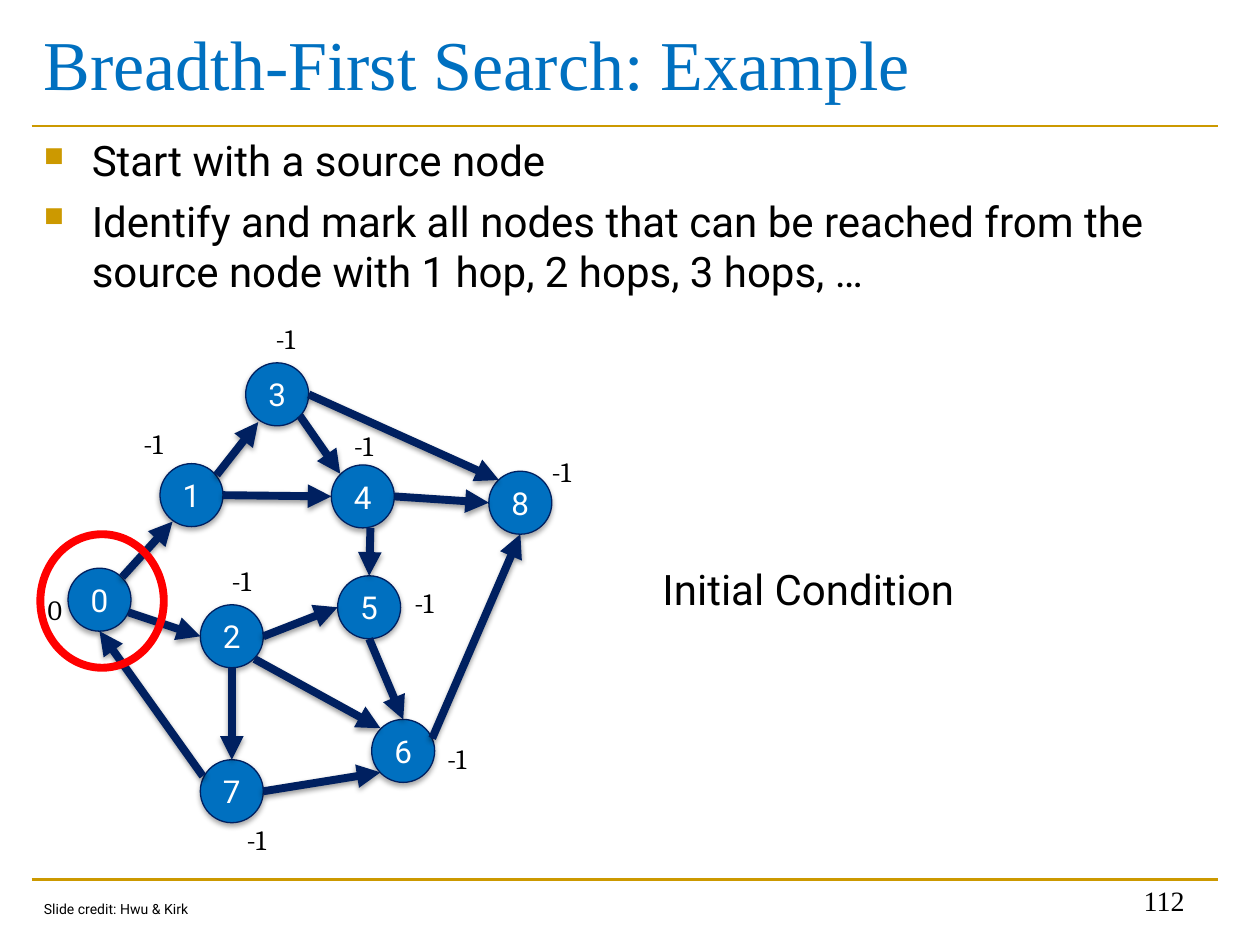
from pptx import Presentation
from pptx.dml.color import RGBColor
from pptx.enum.shapes import MSO_CONNECTOR, MSO_SHAPE
from pptx.enum.text import MSO_ANCHOR, MSO_AUTO_SIZE, PP_ALIGN
from pptx.oxml import parse_xml
from pptx.oxml.ns import nsdecls
from pptx.util import Inches, Pt

STRAIGHT = MSO_CONNECTOR.STRAIGHT
OVAL = MSO_SHAPE.OVAL
TOP, MIDDLE, BOTTOM = MSO_ANCHOR.TOP, MSO_ANCHOR.MIDDLE, MSO_ANCHOR.BOTTOM
FIT_SHAPE = MSO_AUTO_SIZE.SHAPE_TO_FIT_TEXT
LEFT, CENTER, RIGHT = PP_ALIGN.LEFT, PP_ALIGN.CENTER, PP_ALIGN.RIGHT

BLUE, NAVY, GOLD = "0070C0", "002060", "CC9900"
BLACK, WHITE, RED = "000000", "FFFFFF", "FF0000"
BODY_FONT, LABEL_FONT, TITLE_FONT = "Roboto", "Cambria", "Times New Roman"
NODE_SIZE = 0.5

NODES = [
    (0.54, 4.51), (1.27, 3.68), (1.59, 4.8), (1.95, 2.88), (2.63, 3.69),
    (2.68, 4.57), (2.95, 5.71), (1.59, 6.03), (3.88, 3.74),
]
EDGES = [
    ((0.97, 4.58), (1.37, 4.14)),
    ((1.02, 4.86), (1.59, 5.05)),
    ((1.72, 3.77), (2.05, 3.35)),
    ((1.77, 3.93), (2.63, 3.94)),
    ((2.09, 5.05), (2.68, 4.82)),
    ((2.45, 3.13), (3.96, 3.81)),
    ((2.38, 3.3), (2.7, 3.76)),
    ((3.13, 3.94), (3.88, 3.99)),
    ((2.94, 4.19), (2.93, 4.57)),
    ((2.02, 5.23), (3.02, 5.78)),
    ((1.84, 5.3), (1.84, 6.03)),
    ((2.09, 6.28), (3.02, 6.13)),
    ((2.93, 5.07), (3.2, 5.71)),
    ((1.61, 6.16), (0.79, 5.01)),
    ((3.43, 5.86), (4.13, 4.24)),
]
DISTANCES = [
    ("0", 0.28, 4.65), ("-1", 1.04, 3.34), ("-1", 1.74, 4.42),
    ("-1", 2.09, 2.5), ("-1", 2.71, 3.35), ("-1", 3.19, 4.6),
    ("-1", 3.45, 5.84), ("-1", 1.86, 6.48), ("-1", 4.28, 3.56),
]
BULLETS = [
    "Start with a source node",
    "Identify and mark all nodes that can be reached from the "
    "source node with 1 hop, 2 hops, 3 hops, …",
]


def color(value):
    return RGBColor.from_string(value)


def set_effects(shape, opacity=0, distance=0):
    shadow = ""
    if opacity:
        shadow = (
            f'<a:outerShdw blurRad="{Pt(3.1)}" dist="{Pt(distance)}" '
            f'dir="5400000" rotWithShape="0"><a:srgbClr val="{BLACK}">'
            f'<a:alpha val="{opacity * 1000}"/></a:srgbClr></a:outerShdw>'
        )
    effects = parse_xml(f'<a:effectLst {nsdecls("a")}>{shadow}</a:effectLst>')
    shape._element.spPr.append(effects)


def add_line(slide, start, end, line_color, width):
    line = slide.shapes.add_connector(STRAIGHT, *map(Inches, start + end))
    line.line.color.rgb = color(line_color)
    line.line.width = Pt(width)
    return line


def add_rule(slide, y):
    set_effects(add_line(slide, (0.25, y), (9.67, y), GOLD, 1.5))


def add_edge(slide, start, end):
    edge = add_line(slide, start, end, NAVY, 4.5)
    arrowhead = parse_xml(f'<a:tailEnd {nsdecls("a")} type="triangle"/>')
    edge.line._get_or_add_ln().append(arrowhead)
    set_effects(edge, 38, 1.6)


def add_run(paragraph, text, size, font, text_color):
    run = paragraph.add_run()
    run.text = text
    run.font.size = Pt(size)
    run.font.name = font
    run.font.color.rgb = color(text_color)


def add_node(slide, number, left, top):
    node = slide.shapes.add_shape(
        OVAL, *map(Inches, (left, top, NODE_SIZE, NODE_SIZE)))
    node.fill.solid()
    node.fill.fore_color.rgb = color(BLUE)
    node.line.color.rgb = color(NAVY)
    node.line.width = Pt(0.75)
    set_effects(node, 35, 1.8)
    frame = node.text_frame
    frame.margin_left = frame.margin_right = 0
    frame.vertical_anchor = MIDDLE
    paragraph = frame.paragraphs[0]
    paragraph.alignment = CENTER
    add_run(paragraph, str(number), 18, BODY_FONT, WHITE)


def add_source_ring(slide):
    ring = slide.shapes.add_shape(OVAL, *map(Inches, (0.32, 4.24, 0.98, 1.06)))
    ring.fill.background()
    ring.line.color.rgb = color(RED)
    ring.line.width = Pt(4.5)
    ring.shadow.inherit = False


def add_text(slide, text, box, size, font, text_color=BLACK,
             anchor=TOP, alignment=LEFT, fitted=False):
    frame = slide.shapes.add_textbox(*map(Inches, box)).text_frame
    frame.word_wrap = not fitted
    if fitted:
        frame.auto_size = FIT_SHAPE
    frame.vertical_anchor = anchor
    paragraph = frame.paragraphs[0]
    paragraph.alignment = alignment
    add_run(paragraph, text, size, font, text_color)


def add_bullets(slide, texts, box):
    frame = slide.shapes.add_textbox(*map(Inches, box)).text_frame
    frame.word_wrap = True
    frame.margin_top = Inches(0.08)
    for index, text in enumerate(texts):
        paragraph = frame.add_paragraph() if index else frame.paragraphs[0]
        properties = paragraph._p.get_or_add_pPr()
        properties.set("marL", str(Inches(0.38)))
        properties.set("indent", str(Inches(-0.38)))
        for element in (
            f'<a:buClr {nsdecls("a")}><a:srgbClr val="{GOLD}"/></a:buClr>',
            f'<a:buSzPct {nsdecls("a")} val="65000"/>',
            f'<a:buChar {nsdecls("a")} char="■"/>',
        ):
            properties.append(parse_xml(element))
        if index:
            paragraph.space_before = Pt(5.6)
        add_run(paragraph, text, 24, BODY_FONT, BLACK)


def add_graph(slide):
    for number, (left, top) in enumerate(NODES):
        add_node(slide, number, left, top)
    for start, end in EDGES:
        add_edge(slide, start, end)
    for text, left, top in DISTANCES:
        add_text(slide, text, (left, top, 0.4, 0.37), 16, LABEL_FONT, fitted=True)
    add_source_ring(slide)


def main():
    presentation = Presentation()
    presentation.slide_width = Inches(10)
    presentation.slide_height = Inches(7.5)
    slide = presentation.slides.add_slide(presentation.slide_layouts[6])

    for y in (1, 6.98):
        add_rule(slide, y)
    add_text(slide, "Breadth-First Search: Example", (0.25, 0, 9.42, 0.99),
             40, TITLE_FONT, BLUE, anchor=MIDDLE)
    add_bullets(slide, BULLETS, (0.25, 0.99, 9.42, 1.5))
    add_graph(slide)
    add_text(slide, "Initial Condition", (5.16, 4.42, 2.53, 0.5),
             24, BODY_FONT, fitted=True)
    add_text(slide, "112", (7.17, 6.83, 2.33, 0.5), 16, TITLE_FONT,
             anchor=BOTTOM, alignment=RIGHT)
    add_text(slide, "Slide credit: Hwu & Kirk", (0.25, 7.1, 1.39, 0.24),
             8, BODY_FONT, fitted=True)
    presentation.save("out.pptx")


if __name__ == "__main__":
    main()
